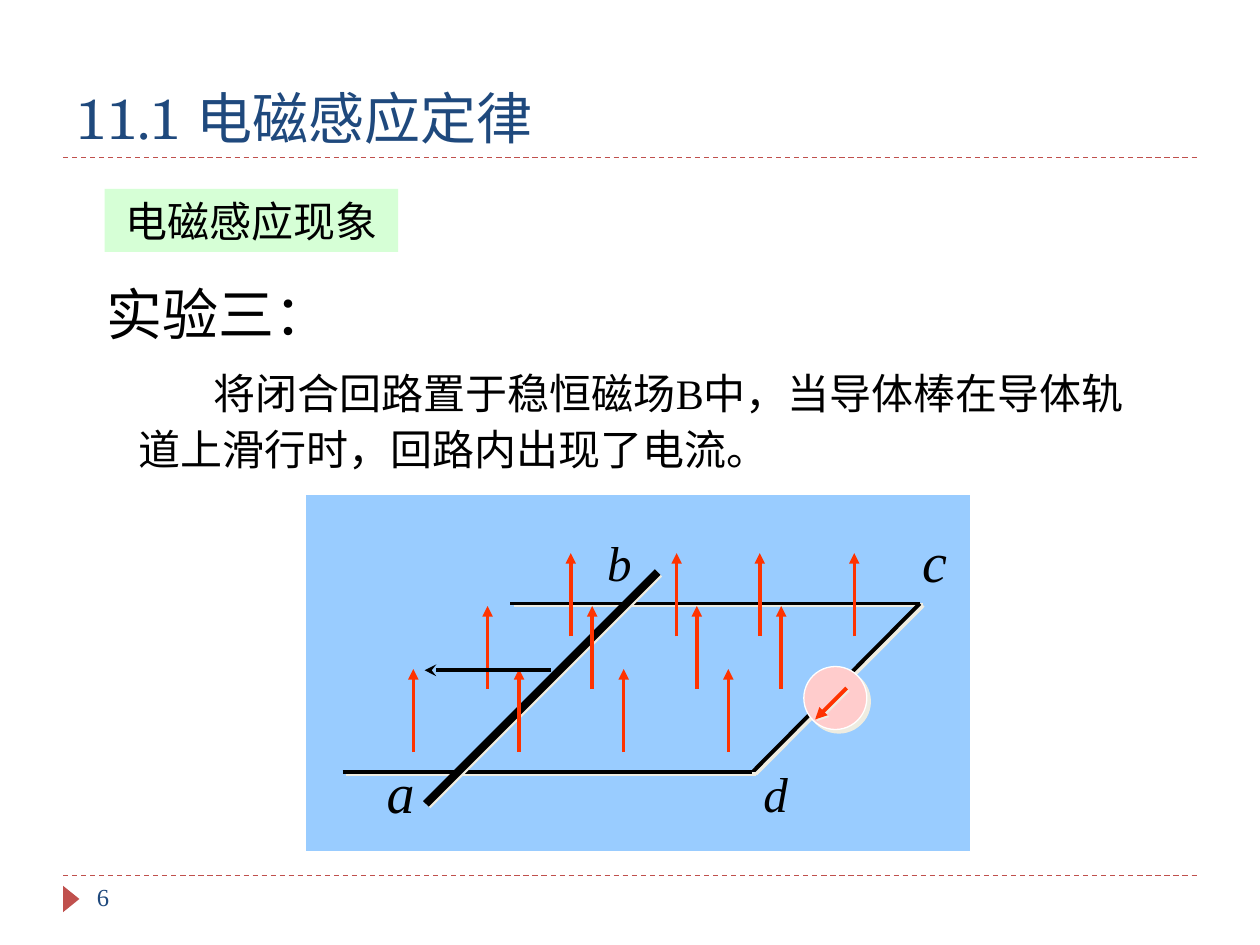
from dataclasses import dataclass

from lxml import etree
from pptx import Presentation
from pptx import util as u
from pptx.dml.color import RGBColor
from pptx.enum import dml, lang, shapes, text
from pptx.oxml.ns import qn


@dataclass(frozen=True)
class Theme:
    """Colours, fonts and type sizes of the slide."""
    navy: str = "1F497D"
    brick: str = "C0504D"
    ink: str = "000000"
    white: str = "FFFFFF"
    mint: str = "CCFFCC"
    sky: str = "99CCFF"
    pink: str = "FFCCCC"
    field: str = "FF3300"
    shade: str = "EEECE1"
    title_font: str = "TeX Gyre Schola"
    body_font: str = "Times New Roman"
    tag_font: str = "Arial"
    heading: int = 32
    label: int = 28
    body: int = 24
    number: int = 14


class SlideBuilder:
    """Draws styled elements on the current slide."""

    def __init__(self, slide, theme):
        self.slide = slide
        self.theme = theme
        self.canvas = slide.shapes

    def start_group(self):
        """Send the following elements into a new group."""
        self.canvas = self.slide.shapes.add_group_shape().shapes

    def shadow(self, element, distance, angle):
        """Give an element a hard shadow, or none at distance zero."""
        effects = etree.SubElement(element._element.spPr, qn("a:effectLst"))
        if distance:
            outer = etree.SubElement(
                effects, qn("a:outerShdw"), blurRad="0", dist=str(u.Pt(distance)),
                dir=str(angle * 60000), algn="ctr", rotWithShape="0")
            etree.SubElement(outer, qn("a:srgbClr"), val=self.theme.shade)

    def add_words(self, frame, words, size, font, color, italic=False):
        """Add one formatted run to the first paragraph."""
        paragraph = frame.paragraphs[0]
        run = paragraph.add_run()
        run.text = words
        run.font.size = u.Pt(size)
        run.font.name = font
        run.font.italic = italic
        run.font.color.rgb = RGBColor.from_string(color)
        run.font.language_id = lang.MSO_LANGUAGE_ID.SIMPLIFIED_CHINESE
        return paragraph

    def title(self, words, box):
        """Place and fill the title placeholder."""
        heading = self.slide.shapes.title
        heading.left, heading.top, heading.width, heading.height = map(u.Inches, box)
        frame = heading.text_frame
        frame.auto_size = text.MSO_AUTO_SIZE.NONE
        frame.vertical_anchor = text.MSO_ANCHOR.BOTTOM
        paragraph = self.add_words(frame, words, self.theme.heading,
                                   self.theme.title_font, self.theme.navy)
        paragraph.alignment = text.PP_ALIGN.LEFT

    def text(self, words, box, size, color=None, italic=False, wrap=True):
        """Add a text box and return its paragraph."""
        frame = self.canvas.add_textbox(*map(u.Inches, box)).text_frame
        frame.word_wrap = wrap
        return self.add_words(frame, words, size, self.theme.body_font,
                              color or self.theme.ink, italic)

    def shape(self, kind, box, fill, outline=None, distance=0, angle=0):
        """Add a filled preset shape."""
        figure = self.canvas.add_shape(kind, *map(u.Inches, box))
        figure.fill.solid()
        figure.fill.fore_color.rgb = RGBColor.from_string(fill)
        if outline:
            figure.line.color.rgb = RGBColor.from_string(outline)
            figure.line.width = u.Pt(0.75)
        else:
            figure.line.fill.background()
        self.shadow(figure, distance, angle)
        return figure

    def tag(self, words, box):
        """Add a translucent box with a centred caption."""
        figure = self.shape(shapes.MSO_SHAPE.RECTANGLE, box, self.theme.mint)
        color = figure._element.spPr.find(".//" + qn("a:srgbClr"))
        etree.SubElement(color, qn("a:alpha"), val="80000")
        frame = figure.text_frame
        frame.word_wrap = False
        frame.vertical_anchor = text.MSO_ANCHOR.MIDDLE
        paragraph = self.add_words(frame, words, self.theme.body,
                                   self.theme.tag_font, self.theme.ink)
        paragraph.alignment = text.PP_ALIGN.CENTER

    def line(self, start, end, color, width, dash=None, head=None, distance=0, angle=0):
        """Add a straight line with an optional arrowhead at its end."""
        stroke = self.canvas.add_connector(
            shapes.MSO_CONNECTOR.STRAIGHT, *map(u.Inches, (*start, *end)))
        stroke.line.color.rgb = RGBColor.from_string(color)
        stroke.line.width = u.Pt(width)
        if dash:
            stroke.line.dash_style = dash
        if head:
            outline = stroke._element.spPr.find(qn("a:ln"))
            etree.SubElement(outline, qn("a:tailEnd"), type=head)
        self.shadow(stroke, distance, angle)


def draw_frame(page, theme):
    """Draw the title, the rules and the page number."""
    for rule_y in (6.95, 1.25):
        page.line((0.5, rule_y), (9.5, rule_y), theme.brick, 0.75,
                  dash=dml.MSO_LINE.DASH)
    marker = page.shape(shapes.MSO_SHAPE.ISOSCELES_TRIANGLE,
                        (0.46, 7.07, 0.21, 0.13), theme.brick)
    marker.rotation = 90
    page.title("11.1 电磁感应定律", (0.5, 0.25, 9, 1))
    page.text("6", (0.67, 6.95, 2.17, 0.4), theme.number, theme.navy)


def draw_experiment(page, theme):
    """Set out the description of the experiment."""
    page.tag("电磁感应现象", (0.83, 1.5, 2.33, 0.5))
    page.text("实验三：", (0.75, 2.17, 2.36, 0.63), theme.heading)
    description = page.text(
        "将闭合回路置于稳恒磁场B中，当导体棒在导体轨道上滑行时，回路内出现了电流。",
        (1, 2.83, 8.13, 0.98), theme.body)
    description.line_spacing = 1.1
    description._p.get_or_add_pPr().set("indent", str(u.Inches(0.6)))


def draw_circuit(page, theme):
    """Draw the sliding rod on its rails in the magnetic field."""
    page.start_group()
    page.shape(shapes.MSO_SHAPE.RECTANGLE, (2.42, 3.92, 5.28, 2.84),
               theme.sky, theme.white)
    corner_c, corner_d = (7.3, 4.79), (5.97, 6.13)
    for start, end in (((4.05, 4.79), corner_c), (corner_c, corner_d),
                       ((2.72, 6.13), corner_d)):
        page.line(start, end, theme.ink, 2.25, distance=2.2, angle=27)
    page.shape(shapes.MSO_SHAPE.OVAL, (6.38, 5.29, 0.5, 0.5),
               theme.pink, theme.white, distance=2.8, angle=45)
    page.line((5.22, 4.54), (3.38, 6.38), theme.ink, 4.5, distance=1.4, angle=45)

    for letter, box, size in (("a", (2.97, 5.96, 0.42, 0.63), theme.heading),
                              ("b", (4.72, 4.18, 0.4, 0.57), theme.label),
                              ("c", (7.22, 4.13, 0.4, 0.63), theme.heading),
                              ("d", (5.96, 6.01, 0.4, 0.57), theme.label)):
        page.text(letter, box, size, italic=True, wrap=False)

    page.line((6.72, 5.46), (6.47, 5.71), theme.field, 2.25,
              head="triangle", distance=1.4, angle=45)
    field_rows = ((4.39, (4.53, 5.37, 6.03, 6.78)),
                  (4.81, (3.87, 4.7, 5.53, 6.2)),
                  (5.31, (3.28, 4.12, 4.95, 5.78)))
    for tip, columns in field_rows:
        for x in columns:
            page.line((x, tip + 0.66), (x, tip), theme.field, 2, head="triangle")
    page.line((4.37, 5.32), (3.37, 5.32), theme.ink, 2.25, head="stealth")


def main():
    """Build and save the slide."""
    deck = Presentation()
    deck.slide_width, deck.slide_height = u.Inches(10), u.Inches(7.5)
    theme = Theme()
    page = SlideBuilder(deck.slides.add_slide(deck.slide_layouts[5]), theme)
    draw_frame(page, theme)
    draw_experiment(page, theme)
    draw_circuit(page, theme)
    deck.save("out.pptx")


if __name__ == "__main__":
    main()
